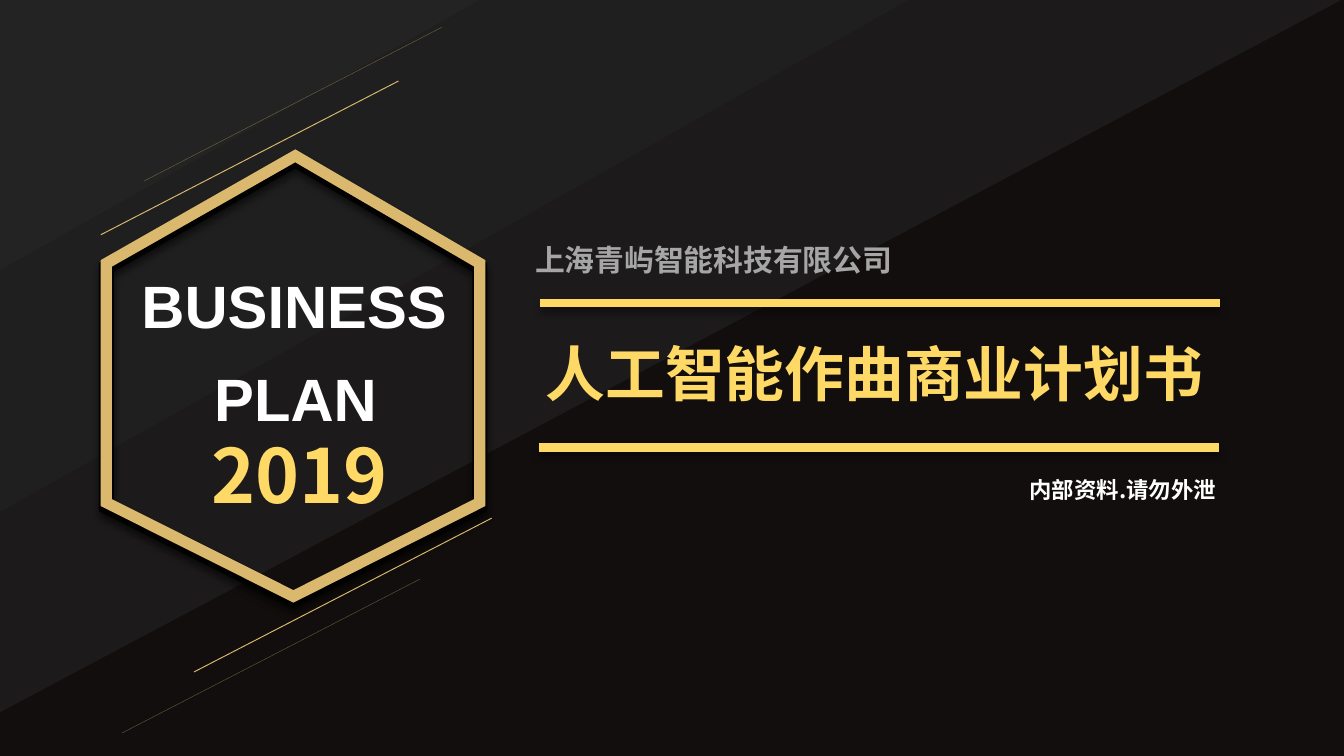
from lxml.etree import SubElement
from pptx import Presentation
from pptx.dml.color import RGBColor
from pptx.enum.shapes import MSO_CONNECTOR
from pptx.enum.text import MSO_ANCHOR, MSO_AUTO_SIZE, PP_ALIGN
from pptx.oxml.ns import qn
from pptx.util import Pt

COLORS = {
    "back": "120E0D",
    "band": "232323",
    "edge": "020302",
    "gold": "DAB96E",
    "sun": "FFD966",
    "white": "FFFFFF",
    "gray": "A6A6A6",
}
SANS = "Noto Sans CJK SC"


def write(shape, text, *, size, color, font=SANS, align=PP_ALIGN.LEFT, wrap=True):
    frame = shape.text_frame
    frame.margin_left = frame.margin_right = Pt(3.6)
    frame.margin_top = frame.margin_bottom = Pt(3.6)
    frame.vertical_anchor = MSO_ANCHOR.TOP
    frame.word_wrap = wrap
    frame.auto_size = MSO_AUTO_SIZE.SHAPE_TO_FIT_TEXT
    line = frame.paragraphs[0]
    line.alignment = align
    run = line.add_run()
    run.text = text
    run.font.size = Pt(size)
    run.font.bold = True
    run.font.name = font
    run.font.color.rgb = RGBColor.from_string(COLORS[color])
    SubElement(run._r.get_or_add_rPr(), qn("a:ea"), typeface=font)


class Deck:
    def __init__(self, width, height):
        self.show = Presentation()
        self.show.slide_width = Pt(width)
        self.show.slide_height = Pt(height)
        self.slide = self.show.slides.add_slide(self.show.slide_layouts[5])
        self.shapes = self.slide.shapes
        self.paint(self.slide.background.fill, "back")

    def paint(self, fill, color, alpha=100):
        fill.solid()
        fill.fore_color.rgb = RGBColor.from_string(COLORS[color])
        if alpha < 100:
            tone = fill._xPr.find(qn("a:solidFill"))[0]
            SubElement(tone, qn("a:alpha"), val=str(alpha * 1000))

    def shade(self, shape, cast):
        effects = SubElement(shape._element.spPr, qn("a:effectLst"))
        if cast:
            drop = SubElement(effects, qn("a:outerShdw"), blurRad=str(Pt(4)),
                              dist=str(Pt(3)), dir="5400000", algn="t", rotWithShape="0")
            tone = SubElement(drop, qn("a:srgbClr"), val="000000")
            SubElement(tone, qn("a:alpha"), val="40000")

    def outline(self, points):
        first, *rest = [(Pt(x), Pt(y)) for x, y in points]
        path = self.shapes.build_freeform(*first)
        path.add_line_segments(rest, close=True)
        return path.convert_to_shape()

    def wedge(self, width, height, alpha):
        shape = self.outline([(0, 0), (0, height), (width, 0)])
        self.paint(shape.fill, "band", alpha)
        shape.line.fill.background()
        self.shade(shape, False)

    def frame(self, points, color, weight):
        shape = self.outline(points)
        shape.fill.background()
        shape.line.width = Pt(weight)
        self.paint(shape.line.fill, color)
        SubElement(shape.line._get_or_add_ln(), qn("a:miter"), lim="800000")
        self.shade(shape, True)

    def line(self, x, y, dx, dy, color, weight, alpha=100, cast=False):
        rule = self.shapes.add_connector(
            MSO_CONNECTOR.STRAIGHT, Pt(x), Pt(y), Pt(x + dx), Pt(y + dy))
        rule.line.width = Pt(weight)
        self.paint(rule.line.fill, color, alpha)
        self.shade(rule, cast)

    def text(self, box, text, **style):
        write(self.shapes.add_textbox(*map(Pt, box)), text, **style)

    def title(self, box, text, **style):
        title = self.shapes.title
        title.left, title.top, title.width, title.height = map(Pt, box)
        write(title, text, **style)
        self.shapes._spTree.append(title._element)

    def save(self):
        self.show.save("out.pptx")


def main():
    deck = Deck(720, 405)

    for width, height, alpha in ((718.6, 381.6, 60), (486.7, 274.3, 60), (257, 144.7, 100)):
        deck.wedge(width, height, alpha)

    left, right = 57, 257
    for top, color, weight in ((85.7, "edge", 8), (83.5, "gold", 6)):
        low, high = top + 185.8, top + 57.6
        deck.frame([(158.2, top), (right, high), (right, low),
                    (157.2, top + 236), (left, low), (left, high)], color, weight)

    for x, y in ((289.3, 162.2), (288.8, 239.8)):
        deck.line(x, y, 364.3, 0, "sun", 4.5, cast=True)

    for x, y, weight, alpha in ((103.9, 360, 0.5, 100), (65.4, 392.7, 0.25, 40),
                                (54, 125.8, 0.5, 100), (77.2, 97, 0.25, 40)):
        deck.line(x, y, 159.5, -82.4, "gold", weight, alpha)

    deck.title((288.7, 176.6, 392.4, 51.8), "人工智能作曲商业计划书", size=32, color="sun")

    badge = {"align": PP_ALIGN.CENTER, "wrap": False}
    deck.text((71.6, 140.4, 172.1, 43.2), "BUSINESS", size=32, color="white", font="Arial", **badge)
    deck.text((110.9, 190.1, 95, 43.2), "PLAN", size=32, color="white", font="Arial", **badge)
    deck.text((106.4, 226.1, 108, 55.4), "2019 ", size=40, color="sun", **badge)

    deck.text((283, 126, 236.2, 29.5), "上海青屿智能科技有限公司", size=16, color="gray")
    deck.text((547.9, 251.3, 108, 24.5), "内部资料.请勿外泄", size=12, color="white")

    deck.save()


if __name__ == "__main__":
    main()
